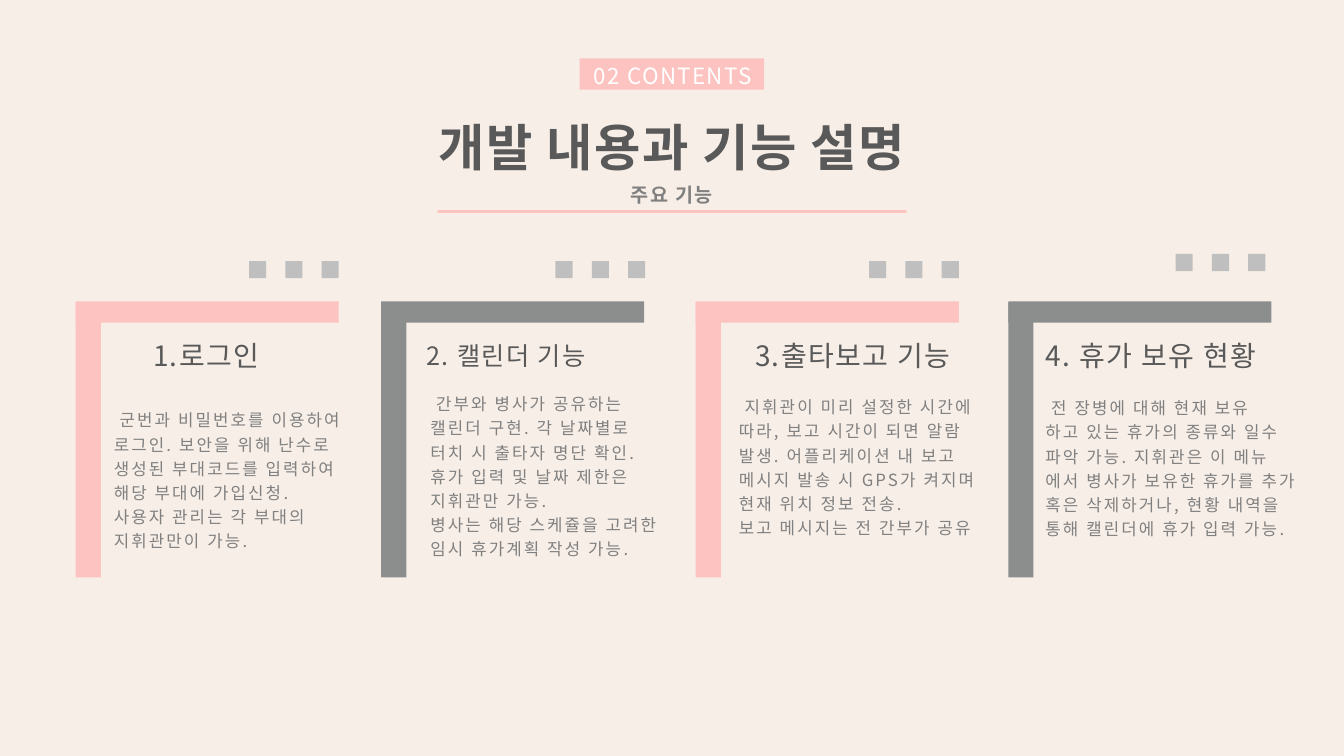
from dataclasses import dataclass

from lxml.etree import SubElement
from pptx import Presentation
from pptx.dml.color import RGBColor
from pptx.enum.shapes import MSO_CONNECTOR, MSO_SHAPE
from pptx.enum.text import MSO_AUTO_SIZE, PP_ALIGN
from pptx.oxml.ns import qn
from pptx.util import Inches, Pt

CREAM = RGBColor(0xF7, 0xEE, 0xE7)
PINK = RGBColor(0xFC, 0xC3, 0xC0)
STEEL = RGBColor(0x8C, 0x8E, 0x8D)
SILVER = RGBColor(0xBF, 0xBF, 0xBF)
CHARCOAL = RGBColor(0x59, 0x59, 0x59)
GRAY = RGBColor(0x80, 0x80, 0x80)
WHITE = RGBColor(0xFF, 0xFF, 0xFF)


@dataclass
class Card:
    left: float
    color: RGBColor
    dots_at: tuple
    heading: str
    heading_box: tuple
    heading_size: int
    body: str
    body_box: tuple


class Painter:
    font_name = "Noto Sans CJK KR"

    def __init__(self, slide):
        self.slide = slide

    def background(self, color):
        fill = self.slide.background.fill
        fill.solid()
        fill.fore_color.rgb = color

    def rect(self, left, top, width, height, color):
        block = self.slide.shapes.add_shape(
            MSO_SHAPE.RECTANGLE, Inches(left), Inches(top), Inches(width), Inches(height))
        block.shadow.inherit = False
        block.fill.solid()
        block.fill.fore_color.rgb = color
        block.line.fill.background()

    def rule(self, left, right, y, color, weight):
        rule = self.slide.shapes.add_connector(
            MSO_CONNECTOR.STRAIGHT, Inches(left), Inches(y), Inches(right), Inches(y))
        rule.line.color.rgb = color
        rule.line.width = Pt(weight)
        rule.line._get_or_add_ln().set("cap", "rnd")
        SubElement(rule._element.spPr, qn("a:effectLst"))

    def text(self, box, wording, size, color, bold=False, align=PP_ALIGN.LEFT,
             tracking=1, line_spacing=None):
        frame = self.slide.shapes.add_textbox(*map(Inches, box)).text_frame
        frame.word_wrap = False
        frame.auto_size = MSO_AUTO_SIZE.SHAPE_TO_FIT_TEXT
        frame.text = wording
        for paragraph in frame.paragraphs:
            paragraph.alignment = align
            paragraph.line_spacing = line_spacing
            for run in paragraph.runs:
                run.font.size = Pt(size)
                run.font.bold = bold
                run.font.color.rgb = color
                run.font.name = self.font_name
                properties = run.font._element
                properties.set("spc", str(int(tracking * 100)))
                SubElement(properties, qn("a:ea"), typeface=self.font_name)

    def dots(self, left, top):
        for index in range(3):
            self.rect(left + index * 0.36, top, 0.17, 0.17, SILVER)

    def card(self, card):
        self.rect(card.left, 3, 0.25, 2.73, card.color)
        self.rect(card.left, 2.99, 2.61, 0.21, card.color)
        self.dots(*card.dots_at)
        self.text(card.heading_box, card.heading, card.heading_size, CHARCOAL)
        self.text(card.body_box, card.body, 12, GRAY, tracking=1.5, line_spacing=1.2)


CARDS = [
    Card(0.75, PINK, (2.47, 2.59), "1.로그인", (1.42, 3.31, 1.33, 0.44), 20,
         " 군번과 비밀번호를 이용하여\n로그인. 보안을 위해 난수로\n"
         "생성된 부대코드를 입력하여\n해당 부대에 가입신청.\n"
         "사용자 관리는 각 부대의\n지휘관만이 가능.",
         (1.03, 3.98, 2.72, 1.53)),
    Card(3.78, STEEL, (5.51, 2.59), "2. 캘린더 기능", (4.13, 3.33, 1.96, 0.4), 18,
         " 간부와 병사가 공유하는\n캘린더 구현. 각 날짜별로\n"
         "터치 시 출타자 명단 확인.\n휴가 입력 및 날짜 제한은\n지휘관만 가능.\n"
         "병사는 해당 스케쥴을 고려한\n임시 휴가계획 작성 가능.",
         (4.17, 3.82, 2.72, 1.77)),
    Card(6.9, PINK, (8.62, 2.59), "3.출타보고 기능", (7.39, 3.31, 2.32, 0.44), 20,
         " 지휘관이 미리 설정한 시간에\n따라, 보고 시간이 되면 알람\n"
         "발생. 어플리케이션 내 보고\n메시지 발송 시 GPS가 켜지며\n"
         "현재 위치 정보 전송.\n보고 메시지는 전 간부가 공유",
         (7.23, 3.85, 2.8, 1.53)),
    Card(10, STEEL, (11.66, 2.52), "4. 휴가 보유 현황", (10.27, 3.31, 2.55, 0.44), 20,
         " 전 장병에 대해 현재 보유\n하고 있는 휴가의 종류와 일수\n"
         "파악 가능. 지휘관은 이 메뉴\n에서 병사가 보유한 휴가를 추가\n"
         "혹은 삭제하거나, 현황 내역을\n통해 캘린더에 휴가 입력 가능.",
         (10.27, 3.86, 2.99, 1.53)),
]

deck = Presentation()
deck.slide_width, deck.slide_height = Inches(13.33), Inches(7.5)
painter = Painter(deck.slides.add_slide(deck.slide_layouts[6]))
painter.background(CREAM)

# Header: section badge, title, subtitle and rule
painter.rect(5.75, 0.58, 1.83, 0.31, PINK)
painter.text((5.62, 0.57, 2.04, 0.37), " 02 CONTENTS", 16, WHITE, align=PP_ALIGN.CENTER)
painter.text((3.94, 1.1, 5.45, 0.71), "개발 내용과 기능 설명", 36, CHARCOAL,
             bold=True, align=PP_ALIGN.CENTER)
painter.rule(4.35, 8.98, 2.1, PINK, 2.5)
painter.text((6.1, 1.77, 1.13, 0.34), "주요 기능", 14, GRAY,
             bold=True, align=PP_ALIGN.CENTER)

# Feature cards
for feature in CARDS:
    painter.card(feature)

deck.save("out.pptx")
